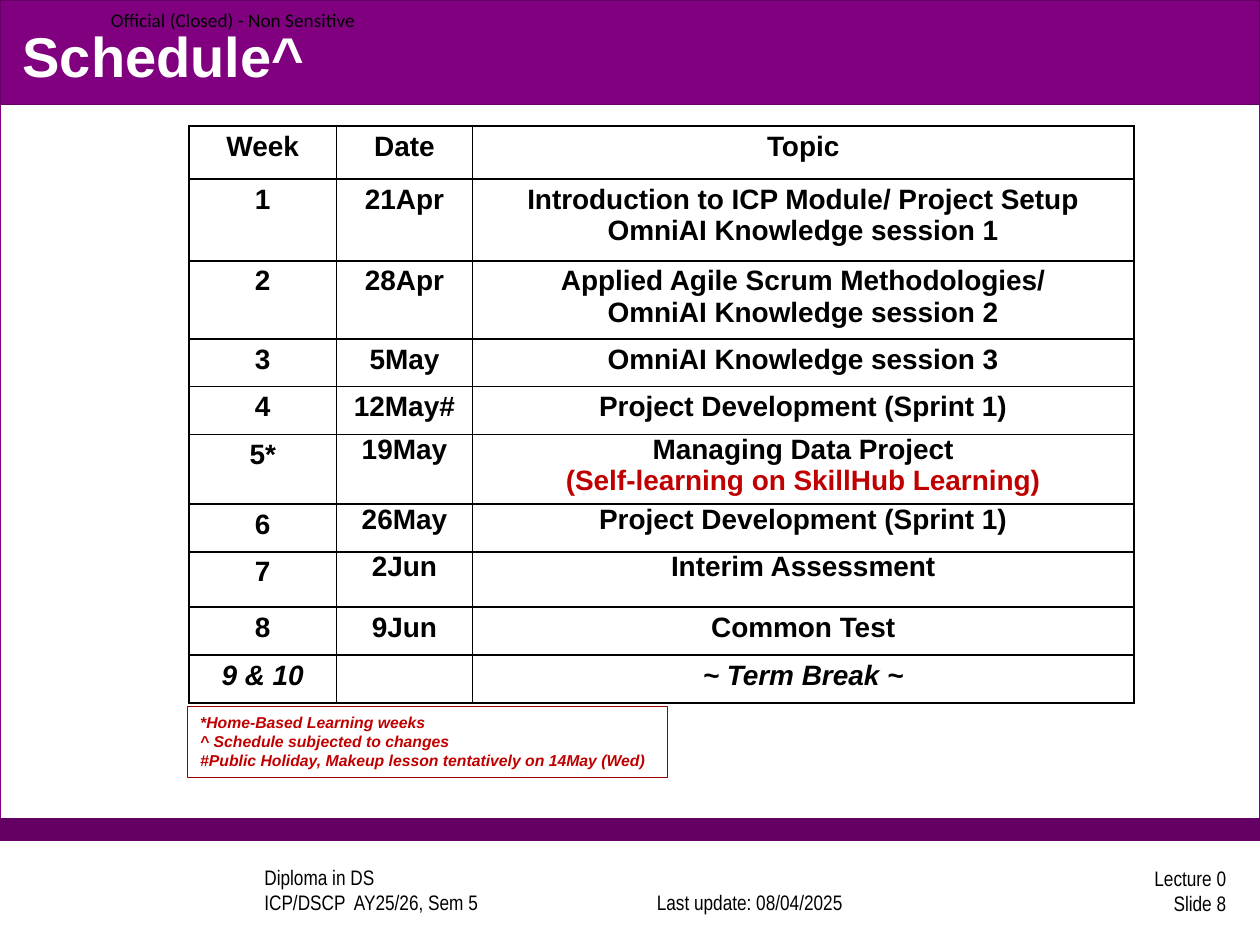
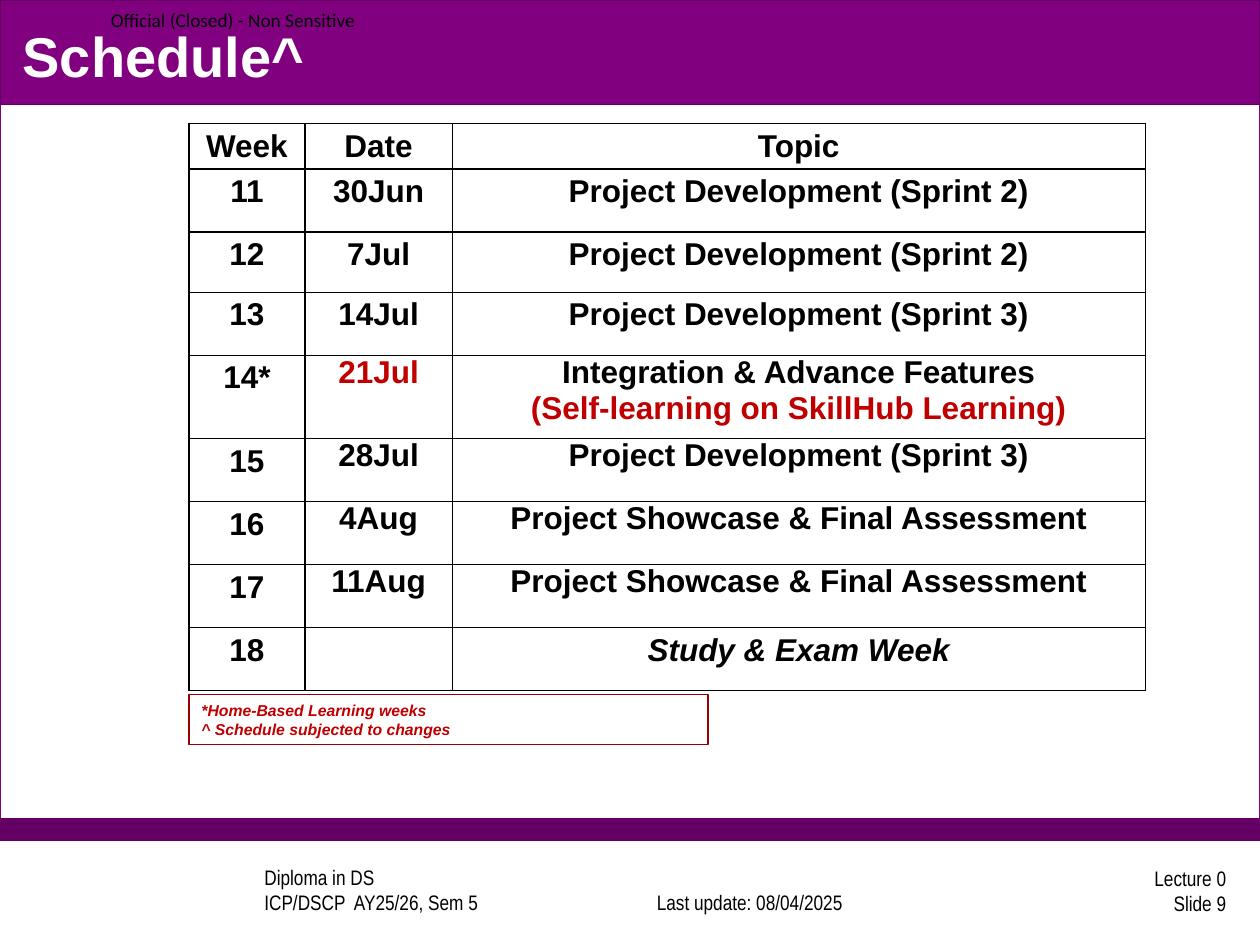
from dataclasses import dataclass

from lxml.etree import SubElement
from pptx import Presentation
from pptx.dml.color import RGBColor
from pptx.enum.shapes import MSO_SHAPE
from pptx.enum.text import MSO_ANCHOR, PP_ALIGN
from pptx.oxml.ns import qn
from pptx.slide import Slide
from pptx.table import _Cell
from pptx.text.text import TextFrame, _Paragraph
from pptx.util import Inches, Pt

COLORS = {
    "white": "FFFFFF",
    "black": "000000",
    "purple": "800080",
    "plum": "640064",
    "red": "C00000",
    "maroon": "990000",
}
HEADINGS = ("Week", "Date", "Topic")
REMARKS = ("*Home-Based Learning weeks", "^ Schedule subjected to changes")


@dataclass(frozen=True)
class TextStyle:
    size: float
    font: str = "Arial"
    color: str = "black"
    bold: bool = False
    italic: bool = False
    align: PP_ALIGN = PP_ALIGN.LEFT


@dataclass(frozen=True)
class Band:
    top: float
    height: float
    fill: str
    line: str


@dataclass(frozen=True)
class Label:
    left: float
    top: float
    width: float
    height: float
    text: str
    style: TextStyle
    anchor: MSO_ANCHOR = MSO_ANCHOR.BOTTOM
    margin: float = 0.1


@dataclass(frozen=True)
class Line:
    text: str
    color: str = "black"
    italic: bool = False


@dataclass(frozen=True)
class Row:
    height: float
    week: Line
    date: Line
    topic: tuple[Line, ...]
    flush: bool = False
    spacing: float = 1.0


@dataclass(frozen=True)
class Schedule:
    number: int
    top: float
    columns: tuple[float, ...]
    size: float
    rows: tuple[Row, ...]
    remarks: tuple[str, ...]
    remark_box: tuple[float, float, float, float]


TITLE_STYLE = TextStyle(32, color="white", bold=True)
REMARK_STYLE = TextStyle(9, color="red", bold=True, italic=True)
BANDS = (
    Band(0, 6.67, "white", "purple"),
    Band(6.5, 0.17, "plum", "plum"),
    Band(0, 0.83, "purple", "plum"),
)
SELF_LEARNING = Line("(Self-learning on SkillHub Learning)", "red")


def row(height: float, week: str, date: str, *topic: str, flush: bool = False,
        spacing: float = 1.0) -> Row:
    return Row(height, Line(week), Line(date), tuple(map(Line, topic)), flush, spacing)


SCHEDULES = (
    Schedule(
        8, 1.0, (1.17, 1.08, 5.25), 16,
        (
            row(0.42, *HEADINGS),
            row(0.65, "1", "21Apr", "Introduction to ICP Module/ Project Setup",
                "OmniAI Knowledge session 1"),
            row(0.62, "2", "28Apr", "Applied Agile Scrum Methodologies/",
                "OmniAI Knowledge session 2"),
            row(0.38, "3", "5May", "OmniAI Knowledge session 3"),
            row(0.38, "4", "12May#", "Project Development (Sprint 1)"),
            Row(0.55, Line("5*"), Line("19May"),
                (Line("Managing Data Project"), SELF_LEARNING), flush=True),
            row(0.38, "6", "26May", "Project Development (Sprint 1)", flush=True),
            row(0.44, "7", "2Jun", "Interim Assessment", flush=True),
            row(0.38, "8", "9Jun", "Common Test", flush=True, spacing=1.15),
            Row(0.38, Line("9 & 10", italic=True), Line(""),
                (Line("~ Term Break ~", italic=True),)),
        ),
        REMARKS + ("#Public Holiday, Makeup lesson tentatively on 14May (Wed)",),
        (1.49, 5.61, 3.81, 0.56),
    ),
    Schedule(
        9, 0.98, (0.92, 1.17, 5.5), 18,
        (
            row(0.36, *HEADINGS),
            row(0.5, "11", "30Jun", "Project Development (Sprint 2)"),
            row(0.48, "12", "7Jul", "Project Development (Sprint 2)"),
            row(0.5, "13", "14Jul", "Project Development (Sprint 3)"),
            Row(0.66, Line("14*"), Line("21Jul", "red"),
                (Line("Integration & Advance Features"), SELF_LEARNING), flush=True),
            row(0.5, "15", "28Jul", "Project Development (Sprint 3)", flush=True),
            row(0.5, "16", "4Aug", "Project Showcase & Final Assessment", flush=True),
            row(0.5, "17", "11Aug", "Project Showcase & Final Assessment", flush=True),
            Row(0.5, Line("18"), Line(""), (Line("Study & Exam Week", italic=True),)),
        ),
        REMARKS,
        (1.5, 5.51, 4.12, 0.4),
    ),
)


def rgb(name: str) -> RGBColor:
    return RGBColor.from_string(COLORS[name])


def write(para: _Paragraph, text: str, style: TextStyle) -> None:
    para.text = text
    para.alignment = style.align
    para.font.name = style.font
    para.font.size = Pt(style.size)
    para.font.bold = style.bold
    para.font.italic = style.italic
    para.font.color.rgb = rgb(style.color)


def write_lines(frame: TextFrame, lines: list[tuple[str, TextStyle]],
                spacing: float = 1.0) -> None:
    for index, (text, style) in enumerate(lines):
        para = frame.add_paragraph() if index else frame.paragraphs[0]
        write(para, text, style)
        para.line_spacing = spacing


def draw_band(page: Slide, band: Band) -> None:
    box = page.shapes.add_shape(MSO_SHAPE.RECTANGLE, 0, Inches(band.top),
                                Inches(10), Inches(band.height))
    box.shadow.inherit = False
    box.fill.solid()
    box.fill.fore_color.rgb = rgb(band.fill)
    box.line.color.rgb = rgb(band.line)
    box.line.width = Pt(0.75)


def draw_label(page: Slide, label: Label) -> None:
    box = page.shapes.add_textbox(Inches(label.left), Inches(label.top),
                                  Inches(label.width), Inches(label.height))
    frame = box.text_frame
    frame.word_wrap = True
    frame.vertical_anchor = label.anchor
    frame.margin_left = frame.margin_right = Inches(label.margin)
    frame.margin_top = frame.margin_bottom = Inches(label.margin / 2)
    write(frame.paragraphs[0], label.text, label.style)


def draw_frame(page: Slide, number: int) -> None:
    for band in BANDS:
        draw_band(page, band)
    footer = TextStyle(12, "Arial Narrow")
    centered = TextStyle(12, "Arial Narrow", align=PP_ALIGN.CENTER)
    right = TextStyle(12, "Arial Narrow", align=PP_ALIGN.RIGHT)
    labels = (
        Label(2.0, 6.89, 2.67, 0.42, "Diploma in DS\nICP/DSCP  AY25/26, Sem 5", footer),
        Label(4.91, 6.89, 2.08, 0.42, "Last update: 08/04/2025", centered),
        Label(7.75, 6.86, 2.08, 0.42, f"Lecture 0\nSlide {number}", right,
              MSO_ANCHOR.MIDDLE),
        Label(0.88, 0, 2.13, 0.31, "Official (Closed) - Non Sensitive",
              TextStyle(11, "Calibri"), MSO_ANCHOR.MIDDLE, 0),
    )
    for label in labels:
        draw_label(page, label)


def draw_title(page: Slide, text: str) -> None:
    title = page.shapes.title
    title.left, title.top = Inches(0.08), Inches(0.13)
    title.width, title.height = Inches(9.83), Inches(0.62)
    title.text_frame.vertical_anchor = MSO_ANCHOR.MIDDLE
    write(title.text_frame.paragraphs[0], text, TITLE_STYLE)
    page.shapes.element.append(title.element)


def format_cell(cell: _Cell, flush: bool) -> None:
    cell.margin_left = cell.margin_right = Inches(0.06 if flush else 0.07)
    cell.margin_top = cell.margin_bottom = Inches(0 if flush else 0.04)
    properties = cell._tc.get_or_add_tcPr()
    for side in ("lnL", "lnR", "lnT", "lnB"):
        border = SubElement(properties, qn(f"a:{side}"), w=str(Pt(1)))
        fill = SubElement(border, qn("a:solidFill"))
        SubElement(fill, qn("a:srgbClr"), val=COLORS["black"])
    cell.fill.background()


def draw_table(page: Slide, schedule: Schedule) -> None:
    height = sum(entry.height for entry in schedule.rows)
    table = page.shapes.add_table(
        len(schedule.rows), len(schedule.columns), Inches(1.5), Inches(schedule.top),
        Inches(sum(schedule.columns)), Inches(height)).table
    table.first_row = table.horz_banding = False
    for column, width in zip(table.columns, schedule.columns):
        column.width = Inches(width)
    for table_row, entry in zip(table.rows, schedule.rows):
        table_row.height = Inches(entry.height)
        contents = ((entry.week,), (entry.date,), entry.topic)
        for index, (cell, lines) in enumerate(zip(table_row.cells, contents)):
            flush = entry.flush and index > 0
            format_cell(cell, flush)
            styled = [(line.text, TextStyle(schedule.size, color=line.color, bold=True,
                                            italic=line.italic, align=PP_ALIGN.CENTER))
                      for line in lines]
            write_lines(cell.text_frame, styled, entry.spacing if flush else 1.0)


def draw_remarks(page: Slide, schedule: Schedule) -> None:
    box = page.shapes.add_shape(MSO_SHAPE.RECTANGLE, *map(Inches, schedule.remark_box))
    box.shadow.inherit = False
    box.fill.background()
    box.line.color.rgb = rgb("maroon")
    box.line.width = Pt(0.75)
    box.text_frame.word_wrap = True
    box.text_frame.vertical_anchor = MSO_ANCHOR.TOP
    write_lines(box.text_frame, [(remark, REMARK_STYLE) for remark in schedule.remarks])


def main() -> None:
    deck = Presentation()
    deck.slide_width, deck.slide_height = Inches(10), Inches(7.5)
    for schedule in SCHEDULES:
        page = deck.slides.add_slide(deck.slide_layouts[5])
        draw_frame(page, schedule.number)
        draw_title(page, "Schedule^")
        draw_table(page, schedule)
        draw_remarks(page, schedule)
    deck.save("out.pptx")


if __name__ == "__main__":
    main()
